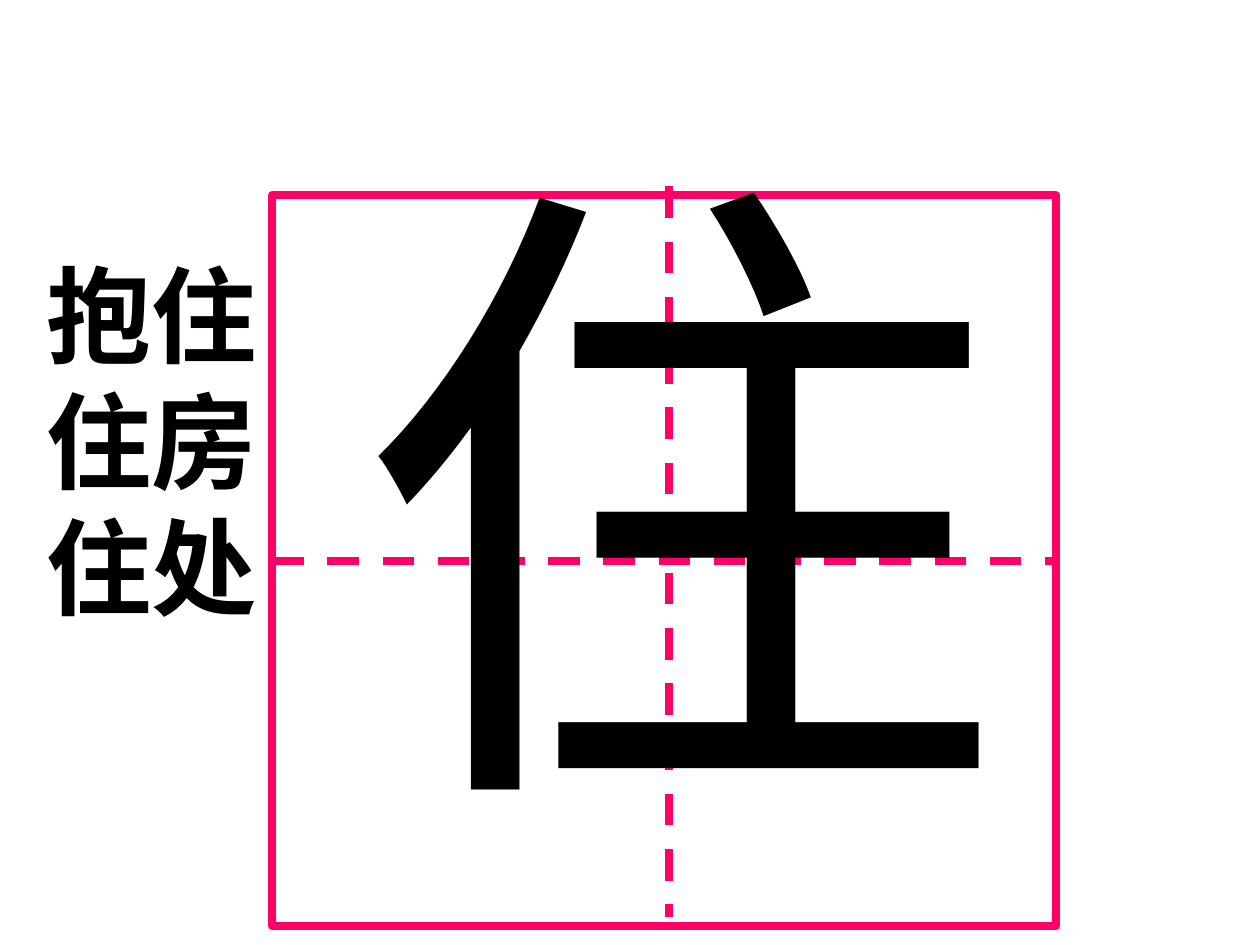
from dataclasses import dataclass

from lxml import etree
from pptx import Presentation, util as u
from pptx.dml.color import RGBColor
from pptx.enum import dml, shapes
from pptx.oxml.ns import qn


@dataclass(frozen=True)
class Theme:
    ink: RGBColor = RGBColor(0x00, 0x00, 0x00)
    guide: RGBColor = RGBColor(0xFF, 0x00, 0x66)
    font: str = "Times New Roman"
    character_size: int = 370
    word_size: int = 60
    guide_width: float = 4.5


THEME = Theme()
WIDTH, HEIGHT = 10, 7.5


def inches(*lengths):
    return [u.Inches(length) for length in lengths]


def style_guide(line):
    line.color.rgb = THEME.guide
    line.width = u.Pt(THEME.guide_width)


def add_text(slide, content, box, size, bold=False):
    text_box = slide.shapes.add_textbox(*inches(*box))
    frame = text_box.text_frame
    frame.word_wrap = True
    paragraph = frame.paragraphs[0]
    run = paragraph.add_run()
    run.text = content
    run.font.name = THEME.font
    run.font.size = u.Pt(size)
    run.font.bold = bold
    run.font.color.rgb = THEME.ink
    return text_box


def add_dashed_guide(slide, start, end):
    connector = slide.shapes.add_connector(
        shapes.MSO_CONNECTOR.STRAIGHT, *inches(*start, *end))
    style_guide(connector.line)
    connector.line.dash_style = dml.MSO_LINE.DASH
    etree.SubElement(connector._element.spPr, qn("a:effectLst"))
    return connector


def draw_practice_square(slide, box):
    left, top, width, height = box
    # Outer frame
    square = slide.shapes.add_shape(shapes.MSO_SHAPE.RECTANGLE, *inches(*box))
    square.shadow.inherit = False
    square.fill.background()
    style_guide(square.line)

    # Horizontal guide, joined to the left and right sides
    middle = top + height / 2
    horizontal = add_dashed_guide(slide, (left, middle), (left + width, middle))
    horizontal.begin_connect(square, 1)
    horizontal.end_connect(square, 3)

    # Vertical guide, slightly right of centre and raised above the frame
    center = left + width / 2 + 0.04
    rise = 0.07
    add_dashed_guide(slide, (center, top - rise), (center, top + height - rise))


def draw_character(slide, box):
    add_text(slide, "住", box, THEME.character_size)


def draw_words(slide, box):
    # Two characters fit on each line, so the words wrap into a column
    add_text(slide, "抱住住房住处", box, THEME.word_size, bold=True)


def main():
    presentation = Presentation()
    presentation.slide_width, presentation.slide_height = inches(WIDTH, HEIGHT)
    slide = presentation.slides.add_slide(presentation.slide_layouts[6])
    draw_practice_square(slide, (2.16, 1.55, 6.22, 5.8))
    draw_character(slide, (2.72, 0.68, 5.14, 6.27))
    draw_words(slide, (0.27, 1.94, 2.2, 3.1))
    presentation.save("out.pptx")


if __name__ == "__main__":
    main()
